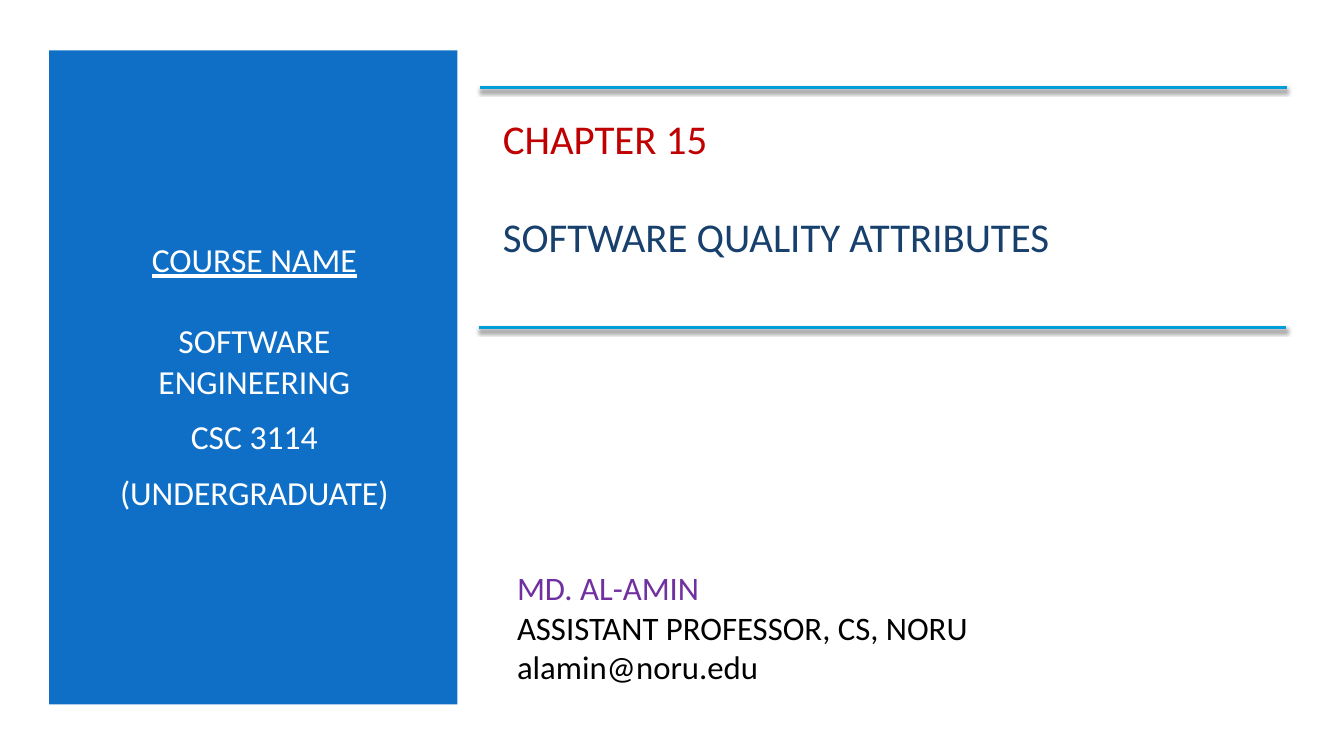
"""Build the opening slide of a course chapter."""
import lxml.etree
import pptx
import pptx.dml.color
import pptx.enum.shapes
import pptx.enum.text
import pptx.oxml
import pptx.oxml.ns
import pptx.util

Cm = pptx.util.Cm
Pt = pptx.util.Pt
RGB = pptx.dml.color.RGBColor
ALIGN = pptx.enum.text.PP_ALIGN

WHITE = RGB(0xFF, 0xFF, 0xFF)
BLACK = RGB(0, 0, 0)
BLUE = RGB(0x0F, 0x6F, 0xC6)
CYAN = RGB(0x00, 0x9D, 0xD9)
NAVY = RGB(0x17, 0x40, 0x6D)
RED = RGB(0xC0, 0, 0)
PURPLE = RGB(0x70, 0x30, 0xA0)

SHADOW = (
    f"<a:effectLst {pptx.oxml.ns.nsdecls('a')}>"
    '<a:outerShdw blurRad="38100" dist="25400" dir="5400000" rotWithShape="0">'
    '<a:srgbClr val="000000"><a:alpha val="55000"/></a:srgbClr>'
    "</a:outerShdw></a:effectLst>"
)


def write(frame, text, size, color, align=ALIGN.LEFT, before=0, after=0, line=False):
    para = frame.paragraphs[0]
    if para.runs:
        para = frame.add_paragraph()
    para.alignment = align
    para.space_before = Pt(before)
    para.space_after = Pt(after)
    run = para.add_run()
    run.text = text
    run.font.name = "Calibri"
    run.font.size = Pt(size)
    run.font.color.rgb = color
    run.font.underline = line


def setup(shape, left, top, width, height):
    shape.left, shape.top = Cm(left), Cm(top)
    shape.width, shape.height = Cm(width), Cm(height)
    frame = shape.text_frame
    frame.word_wrap = True
    frame.auto_size = pptx.enum.text.MSO_AUTO_SIZE.NONE
    frame.vertical_anchor = pptx.enum.text.MSO_ANCHOR.MIDDLE
    return frame


deck = pptx.Presentation()
deck.slide_width = Cm(33.87)
deck.slide_height = Cm(19.05)
slide = deck.slides.add_slide(deck.slide_layouts[5])
slide.background.fill.solid()
slide.background.fill.fore_color.rgb = WHITE
shapes = slide.shapes

panel = shapes.add_shape(
    pptx.enum.shapes.MSO_SHAPE.RECTANGLE, Cm(1.24), Cm(1.27), Cm(10.29), Cm(16.48)
)
panel.shadow.inherit = False
panel.fill.solid()
panel.fill.fore_color.rgb = BLUE
panel.line.fill.background()

course = setup(shapes.add_textbox(0, 0, 0, 0), 2.13, 2.79, 8.56, 13.34)
for text, before in (
    ("COURSE NAME", 4.8),
    ("SOFTWARE ENGINEERING", 23.3),
    ("CSC 3114", 4.8),
    ("(UNDERGRADUATE)", 4.8),
):
    write(course, text, 24, WHITE, align=ALIGN.CENTER, before=before, after=6,
          line=text == "COURSE NAME")

title = setup(shapes.title, 12.42, 2.79, 19.94, 3.84)
write(title, "CHAPTER 15", 29.2, RED)
write(title, "SOFTWARE QUALITY ATTRIBUTES", 29.2, NAVY, before=35)

for left, top in ((12.09, 2.21), (12.07, 8.26)):
    rule = shapes.add_connector(
        pptx.enum.shapes.MSO_CONNECTOR.STRAIGHT,
        Cm(left), Cm(top), Cm(left + 20.35), Cm(top),
    )
    rule.line.color.rgb = CYAN
    rule.line.width = Pt(2)
    rule._element.spPr.append(pptx.oxml.parse_xml(SHADOW))

author = setup(shapes.add_textbox(0, 0, 0, 0), 12.78, 13.82, 16.92, 3.96)
for text, color in (
    ("MD. AL-AMIN", PURPLE),
    ("ASSISTANT PROFESSOR, CS, NORU", BLACK),
    ("alamin@noru.edu", BLACK),
):
    write(author, text, 23.4, color)

deck.save("out.pptx")
